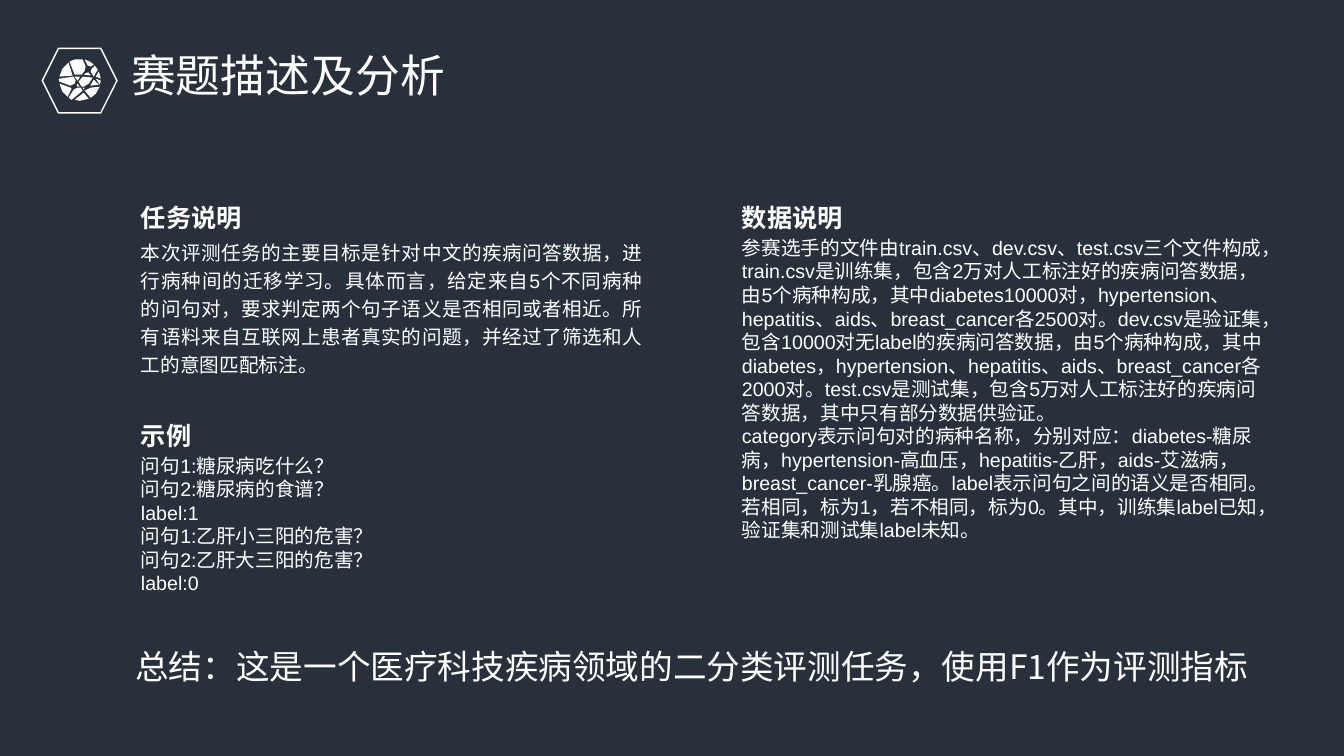
from lxml import etree
from pptx import Presentation
from pptx.dml.color import RGBColor
from pptx.enum.shapes import MSO_SHAPE
from pptx.enum.text import MSO_ANCHOR, MSO_AUTO_SIZE, PP_ALIGN
from pptx.oxml.ns import qn
from pptx.util import Inches, Pt

HEXAGON = MSO_SHAPE.HEXAGON
TOP = MSO_ANCHOR.TOP
FIXED = MSO_AUTO_SIZE.NONE
LEFT, CENTER, JUSTIFY = PP_ALIGN.LEFT, PP_ALIGN.CENTER, PP_ALIGN.JUSTIFY

COLORS = {"night": "28303C", "white": "FFFFFF"}
BODY_FONT = "Arial"
HEADING_FONT = "Noto Sans CJK SC"
TITLE_ONLY = 5
HEADING_STEP = 0.39

GLOBE_PIECES = [
    [(25, 33), (30, 39), (21, 41), (16, 40)],
    [(24, 28), (26, 28), (25, 30)],
    [(19, 28), (22, 28), (24, 31), (13, 40), (10, 38), (15, 30)],
    [(41, 27), (37, 34), (32, 38), (26, 31), (32, 28)],
    [(1, 24), (12, 28), (13, 29), (9, 37), (4, 32)],
    [(19, 24), (21, 27), (19, 27), (18, 25)],
    [(35, 20), (40, 25), (32, 26), (32, 25)],
    [(37, 19), (42, 21), (41, 25)],
    [(15, 17), (17, 21), (16, 24), (12, 26), (1, 22), (0, 20), (1, 19)],
    [(24, 17), (34, 18), (30, 24), (25, 27), (23, 27), (20, 22)],
    [(21, 17), (21, 18), (19, 21), (16, 17)],
    [(28, 13), (30, 13), (32, 16), (25, 15)],
    [(40, 12), (42, 19), (37, 17)],
    [(36, 6), (39, 10), (35, 17), (32, 12), (33, 9)],
    [(10, 3), (14, 16), (1, 17), (4, 9)],
    [(26, 0), (31, 2), (35, 5), (32, 7), (29, 6)],
    [(21, 0), (24, 0), (27, 7), (26, 11), (23, 15), (16, 15), (11, 2), (16, 0)],
]

TASK = [
    "本次评测任务的主要目标是针对中文的疾病问答数据，进行病种间的迁移学习。"
    "具体而言，给定来自5个不同病种的问句对，要求判定两个句子语义是否相同或者相近。"
    "所有语料来自互联网上患者真实的问题，并经过了筛选和人工的意图匹配标注。",
]
EXAMPLES = [
    "问句1:糖尿病吃什么？",
    "问句2:糖尿病的食谱？",
    "label:1",
    "问句1:乙肝小三阳的危害？",
    "问句2:乙肝大三阳的危害？",
    "label:0",
]
DATA = [
    "参赛选手的文件由train.csv、dev.csv、test.csv三个文件构成，"
    "train.csv是训练集，包含2万对人工标注好的疾病问答数据，由5个病种构成，"
    "其中diabetes10000对，hypertension、hepatitis、aids、breast_cancer各2500对。"
    "dev.csv是验证集，包含10000对无label的疾病问答数据，由5个病种构成，"
    "其中diabetes，hypertension、hepatitis、aids、breast_cancer各2000对。"
    "test.csv是测试集，包含5万对人工标注好的疾病问答数据，其中只有部分数据供验证。",
    "category表示问句对的病种名称，分别对应：diabetes-糖尿病，hypertension-高血压，"
    "hepatitis-乙肝，aids-艾滋病，breast_cancer-乳腺癌。"
    "label表示问句之间的语义是否相同。若相同，标为1，若不相同，标为0。"
    "其中，训练集label已知，验证集和测试集label未知。",
]


def color(name):
    return RGBColor.from_string(COLORS[name])


def write(frame, lines, size, font, align=LEFT, spacing=1.0, bold=False):
    frame.word_wrap = True
    frame.auto_size = FIXED
    frame.vertical_anchor = TOP
    for index, line in enumerate(lines):
        paragraph = frame.paragraphs[0] if index == 0 else frame.add_paragraph()
        paragraph.alignment = align
        paragraph.line_spacing = spacing
        run = paragraph.add_run()
        run.text = line
        run.font.size = Pt(size)
        run.font.name = font
        run.font.bold = bold
        run.font.color.rgb = color("white")
        east_asian = etree.SubElement(run.font._element, qn("a:ea"))
        east_asian.set("typeface", font)


def add_text(slide, box, lines, size, font, **style):
    text = slide.shapes.add_textbox(*map(Inches, box))
    write(text.text_frame, lines, size, font, **style)


def add_title(slide, box, wording):
    title = slide.shapes.title
    title.left, title.top, title.width, title.height = map(Inches, box)
    write(title.text_frame, [wording], 32, HEADING_FONT)


def add_globe_badge(slide, box):
    left, top, width, height = box
    badge = slide.shapes.add_shape(HEXAGON, *map(Inches, box))
    badge.shadow.inherit = False
    badge.fill.background()
    badge.line.color.rgb = color("white")
    badge.line.width = Pt(1)

    builder = slide.shapes.build_freeform(*GLOBE_PIECES[0][0], scale=Inches(0.01))
    for index, (start, *corners) in enumerate(GLOBE_PIECES):
        if index:
            builder.move_to(*start)
        builder.add_line_segments(corners, close=True)
    globe = builder.convert_to_shape(Inches(left + 0.16), Inches(top + 0.11))
    globe.shadow.inherit = False
    globe.fill.solid()
    globe.fill.fore_color.rgb = color("white")
    globe.line.fill.background()


def add_section(slide, box, heading, lines, **style):
    left, top, width, height = box
    add_text(slide, (left, top, 2.5, 0.44), [heading], 18, HEADING_FONT,
             align=JUSTIFY, spacing=1.2, bold=True)
    add_text(slide, (left, top + HEADING_STEP, width, height - HEADING_STEP),
             lines, 14, BODY_FONT, **style)


def main():
    deck = Presentation()
    deck.slide_width, deck.slide_height = Inches(13.33), Inches(7.5)
    slide = deck.slides.add_slide(deck.slide_layouts[TITLE_ONLY])
    slide.background.fill.solid()
    slide.background.fill.fore_color.rgb = color("night")

    add_title(slide, (1.2, 0.42, 4.88, 0.64), "赛题描述及分析")
    add_globe_badge(slide, (0.42, 0.48, 0.74, 0.64))
    add_section(slide, (1.3, 1.9, 5.17, 2.16), "任务说明", TASK,
                align=JUSTIFY, spacing=1.2)
    add_section(slide, (7.26, 1.9, 5.39, 3.8), "数据说明", DATA)
    add_section(slide, (1.3, 4.06, 5.17, 2.16), "示例", EXAMPLES)
    add_text(slide, (0.77, 6.36, 12.18, 0.5),
             ["总结：这是一个医疗科技疾病领域的二分类评测任务，使用F1作为评测指标"],
             24, HEADING_FONT, align=CENTER)
    deck.save("out.pptx")


if __name__ == "__main__":
    main()
